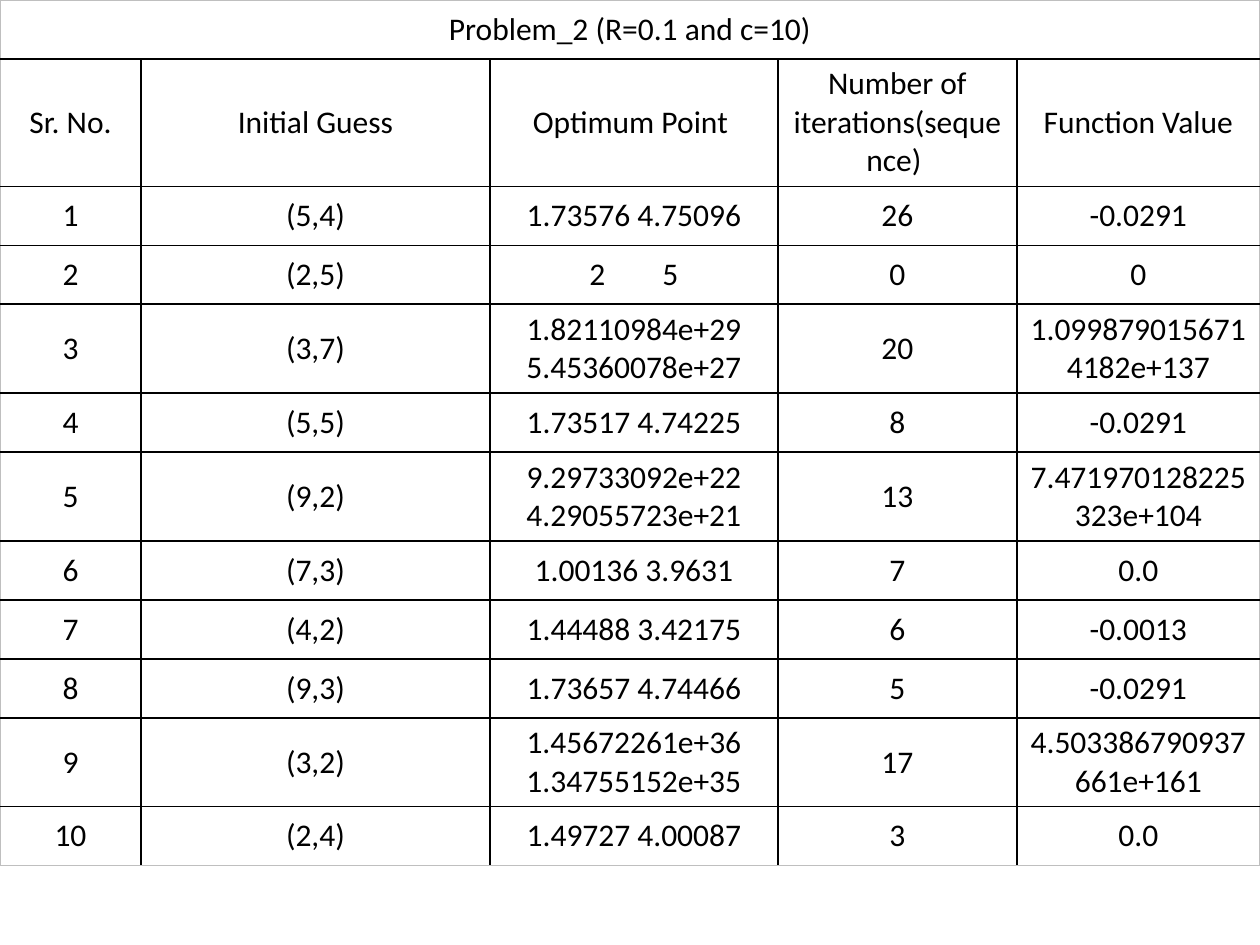
from dataclasses import dataclass

from lxml import etree
from pptx import Presentation
from pptx.dml.color import RGBColor
from pptx.enum.text import MSO_ANCHOR, PP_ALIGN
from pptx.oxml.ns import qn
from pptx.table import _Cell
from pptx.util import Pt

EMU_PER_PX = 914400 / 126
SLIDE_WIDTH, SLIDE_HEIGHT = 1260, 945
COLUMN_WIDTHS = (141, 349, 288, 239, 243)
ROW_HEIGHT, HEADER_HEIGHT, TABLE_HEIGHT = 59, 102, 862
INSET_X, INSET_Y = 9, 6

BLACK = RGBColor(0x00, 0x00, 0x00)
OUTER_GRAY = RGBColor(0xBF, 0xBF, 0xBF)
CENTER = PP_ALIGN.CENTER
MIDDLE = MSO_ANCHOR.MIDDLE

TITLE = "Problem_2 (R=0.1 and c=10)"
HEADERS = (
    "Sr. No.",
    "Initial Guess",
    "Optimum Point ",
    "Number of iterations(sequence) ",
    "Function Value",
)


@dataclass(frozen=True)
class Trial:
    guess: str
    optimum: str
    iterations: str
    value: str
    gap: float = 0


TRIALS = (
    Trial("(5,4)", "1.73576 4.75096", "26", "-0.0291"),
    Trial("(2,5)", "2 5", "0", "0", gap=28.5),
    Trial("(3,7)", "1.82110984e+29 5.45360078e+27", "20", "1.0998790156714182e+137"),
    Trial("(5,5)", "1.73517 4.74225", "8", "-0.0291"),
    Trial("(9,2)", "9.29733092e+22 4.29055723e+21", "13", "7.471970128225323e+104"),
    Trial("(7,3)", "1.00136 3.9631", "7", "0.0"),
    Trial("(4,2)", "1.44488 3.42175", "6", "-0.0013"),
    Trial("(9,3)", "1.73657 4.74466", "5", "-0.0291"),
    Trial("(3,2)", "1.45672261e+36 1.34755152e+35", "17", "4.503386790937661e+161"),
    Trial("(2,4)", "1.49727 4.00087", "3", "0.0"),
)


def px(length: int) -> int:
    return round(length * EMU_PER_PX)


def write_text(cell: _Cell, text: str, *, size: int = 18, font: str = "Calibri",
               color: RGBColor = BLACK, gap: float = 0) -> None:
    cell.vertical_anchor = MIDDLE
    cell.margin_left = cell.margin_right = px(INSET_X)
    cell.margin_top = cell.margin_bottom = px(INSET_Y)
    paragraph = cell.text_frame.paragraphs[0]
    paragraph.alignment = CENTER
    for part in text.partition(" ") if gap else (text,):
        run = paragraph.add_run()
        run.text = part
        run.font.size = Pt(size)
        run.font.name = font
        run.font.color.rgb = color
        if part == " ":
            run.font._element.set("spc", str(round(gap * 100)))


def draw_borders(cell: _Cell, outer_sides: dict[str, bool]) -> None:
    properties = cell._tc.get_or_add_tcPr()
    for side, is_outer in outer_sides.items():
        width = Pt(0.5) if is_outer else Pt(1)
        line = etree.SubElement(properties, qn(f"a:{side}"), w=str(width))
        fill = etree.SubElement(line, qn("a:solidFill"))
        color = OUTER_GRAY if is_outer else BLACK
        etree.SubElement(fill, qn("a:srgbClr"), val=str(color))


def draw_results(slide) -> None:
    row_count, column_count = len(TRIALS) + 2, len(HEADERS)
    frame = slide.shapes.add_table(
        row_count, column_count, 0, 0, px(SLIDE_WIDTH), px(TABLE_HEIGHT)
    )
    results = frame.table
    results.first_row = results.horz_banding = False
    for column, width in zip(results.columns, COLUMN_WIDTHS):
        column.width = px(width)
    for index, row in enumerate(results.rows):
        row.height = px(HEADER_HEIGHT if index == 1 else ROW_HEIGHT)
    frame.height = px(TABLE_HEIGHT)

    for r in range(row_count):
        for c in range(column_count):
            cell = results.cell(r, c)
            draw_borders(cell, {
                "lnL": c == 0,
                "lnR": c == column_count - 1 or r == 0,
                "lnT": r == 0,
                "lnB": r == row_count - 1,
            })
            cell.fill.background()

    results.cell(0, 0).merge(results.cell(0, column_count - 1))
    write_text(results.cell(0, 0), TITLE)
    for c, header in enumerate(HEADERS):
        write_text(results.cell(1, c), header)
    for number, trial in enumerate(TRIALS, start=1):
        entries = (str(number), trial.guess, trial.optimum, trial.iterations, trial.value)
        for c, entry in enumerate(entries):
            gap = trial.gap if entry == trial.optimum else 0
            write_text(results.cell(number + 1, c), entry, gap=gap)


def main() -> None:
    deck = Presentation()
    deck.slide_width, deck.slide_height = px(SLIDE_WIDTH), px(SLIDE_HEIGHT)
    draw_results(deck.slides.add_slide(deck.slide_layouts[6]))
    deck.save("out.pptx")


if __name__ == "__main__":
    main()
